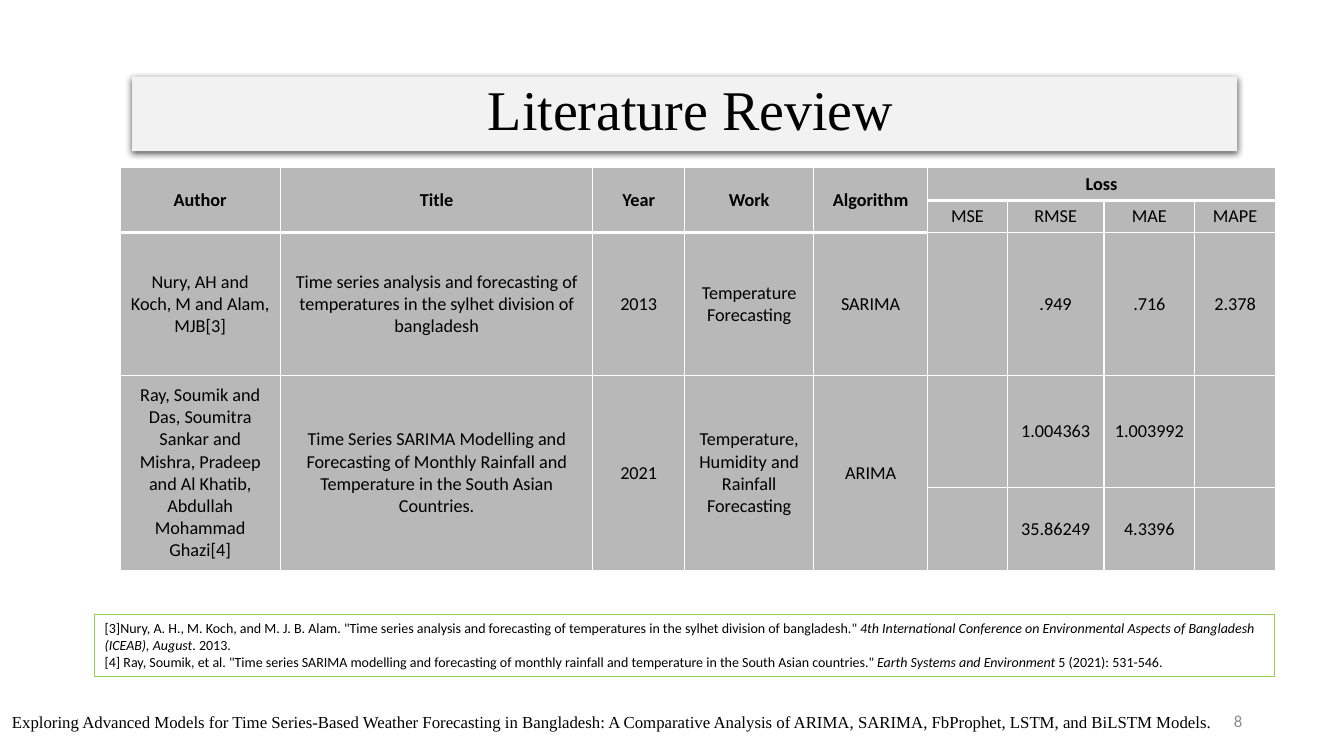
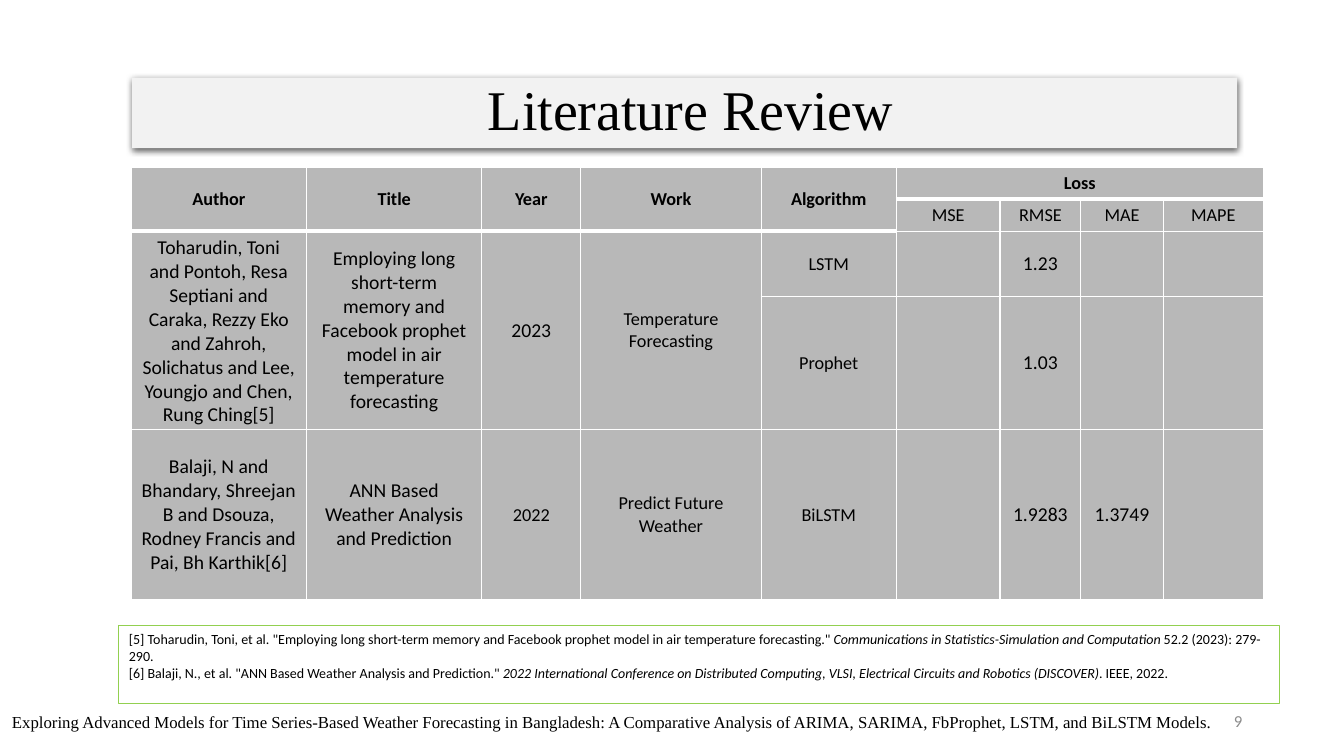
from lxml import etree
from pptx import Presentation
from pptx.dml.color import RGBColor
from pptx.enum.shapes import MSO_SHAPE
from pptx.enum.text import MSO_ANCHOR, PP_ALIGN
from pptx.oxml import parse_xml
from pptx.oxml.ns import nsdecls, qn
from pptx.util import Inches, Pt

RECTANGLE = MSO_SHAPE.RECTANGLE
TOP, MIDDLE = MSO_ANCHOR.TOP, MSO_ANCHOR.MIDDLE
LEFT, CENTER, RIGHT = PP_ALIGN.LEFT, PP_ALIGN.CENTER, PP_ALIGN.RIGHT

BLACK = RGBColor(0x00, 0x00, 0x00)
WHITE = RGBColor(0xFF, 0xFF, 0xFF)
BAND_GREY = RGBColor(0xF2, 0xF2, 0xF2)
CELL_GREY = RGBColor(0xB8, 0xB8, 0xB8)
NUMBER_GREY = RGBColor(0x8C, 0x8C, 0x8C)
FRAME_GREEN = RGBColor(0x92, 0xD0, 0x50)

SERIF, SANS = "Times New Roman", "Calibri"
TITLE = "Literature Review"
FOOTER = ("Exploring Advanced Models for Time Series-Based Weather Forecasting in "
          "Bangladesh: A Comparative Analysis of ARIMA, SARIMA, FbProphet, LSTM, "
          "and BiLSTM Models.")

# Table cells: ABOVE and BEFORE continue the cell over or left of them
ABOVE, BEFORE = "^", "<"
LOSS_COLUMN = 5
CELL_SIZE, LARGE = 13, 14
HEADER = [
    ["Author", "Title", "Year", "Work", "Algorithm", "Loss"] + [BEFORE] * 3,
    [ABOVE] * LOSS_COLUMN + ["MSE", "RMSE", "MAE", "MAPE"],
]

REVIEWS = [
    {
        "number": "8",
        "band": (1.31, 0.76, 10.96, 0.74),
        "table_at": (1.19, 1.66),
        "columns": [1.59, 3.1, 0.91, 1.28, 1.13, 0.79, 0.96, 0.9, 0.8],
        "rows": [0.33, 0.3, 1.42, 1.11, 0.82],
        "studies": [
            ["Nury, AH and Koch, M and Alam, MJB[3]",
             "Time series analysis and forecasting of temperatures in the sylhet "
             "division of bangladesh",
             "2013", "Temperature Forecasting", "SARIMA", "", ".949", ".716", "2.378"],
            ["Ray, Soumik and Das, Soumitra Sankar and Mishra, Pradeep and Al Khatib, "
             "Abdullah Mohammad Ghazi[4]",
             "Time Series SARIMA Modelling and Forecasting of Monthly Rainfall and "
             "Temperature in the South Asian Countries.",
             "2021", "Temperature, Humidity and Rainfall Forecasting", "ARIMA",
             "", "1.004363", "1.003992", ""],
            [ABOVE] * LOSS_COLUMN + ["", "35.86249", "4.3396", ""],
        ],
        "large": [],
        "references_at": (0.94, 6.1, 11.7, 0.61),
        "references": [
            ('[3]Nury, A. H., M. Koch, and M. J. B. Alam. "Time series analysis and '
             'forecasting of temperatures in the sylhet division of bangladesh." ',
             "4th International Conference on Environmental Aspects of Bangladesh "
             "(ICEAB), August",
             ". 2013."),
            ('[4] Ray, Soumik, et al. "Time series SARIMA modelling and forecasting of '
             'monthly rainfall and temperature in the South Asian countries." ',
             "Earth Systems and Environment",
             " 5 (2021): 531-546."),
        ],
    },
    {
        "number": "9",
        "band": (1.31, 0.77, 10.96, 0.7),
        "table_at": (1.3, 1.66),
        "columns": [1.74, 1.74, 0.98, 1.79, 1.34, 1.03, 0.8, 0.82, 0.99],
        "rows": [0.31, 0.31, 0.65, 1.3, 1.69],
        "studies": [
            ["Toharudin, Toni and Pontoh, Resa Septiani and Caraka, Rezzy Eko and "
             "Zahroh, Solichatus and Lee, Youngjo and Chen, Rung Ching[5]",
             "Employing long short-term memory and Facebook prophet model in air "
             "temperature forecasting",
             "2023", "Temperature Forecasting", "LSTM", "", "1.23", "", ""],
            [ABOVE] * 4 + ["Prophet", "", "1.03", "", ""],
            ["Balaji, N and Bhandary, Shreejan B and Dsouza, Rodney Francis and Pai, "
             "Bh Karthik[6]",
             "ANN Based Weather Analysis and Prediction",
             "2022", "Predict Future Weather", "BiLSTM", "", "1.9283", "1.3749", ""],
        ],
        "large": [(2, 0), (2, 1), (2, 2), (2, 6), (3, 6), (4, 0), (4, 1), (4, 6), (4, 7)],
        "references_at": (1.18, 6.21, 11.51, 0.77),
        "references": [
            ('[5] Toharudin, Toni, et al. "Employing long short-term memory and Facebook '
             'prophet model in air temperature forecasting." ',
             "Communications in Statistics-Simulation and Computation",
             " 52.2 (2023): 279-290."),
            ('[6] Balaji, N., et al. "ANN Based Weather Analysis and Prediction." ',
             "2022 International Conference on Distributed Computing, VLSI, Electrical "
             "Circuits and Robotics (DISCOVER)",
             ". IEEE, 2022."),
        ],
    },
]


def inches(values):
    return [Inches(value) for value in values]


def add_span(para, text, size, font=SANS, color=BLACK, bold=False, italic=False):
    """Append one formatted piece of text to a paragraph."""
    span = para.add_run()
    span.text = text
    span.font.size = Pt(size)
    span.font.name = font
    span.font.color.rgb = color
    span.font.bold = bold
    span.font.italic = italic


def add_text(page, at, text, size, align=CENTER, anchor=TOP, **style):
    box = page.shapes.add_textbox(*inches(at))
    frame = box.text_frame
    frame.word_wrap = True
    frame.vertical_anchor = anchor
    para = frame.paragraphs[0]
    para.alignment = align
    add_span(para, text, size, **style)


def add_rectangle(page, at):
    box = page.shapes.add_shape(RECTANGLE, *inches(at))
    box.shadow.inherit = False
    return box


def add_title(page, band_at):
    """Grey band with a soft shadow below it, and the title over it."""
    band = add_rectangle(page, band_at)
    band.fill.solid()
    band.fill.fore_color.rgb = BAND_GREY
    band.line.fill.background()
    effects = band._element.spPr.find(qn("a:effectLst"))
    effects.append(parse_xml(
        f'<a:outerShdw {nsdecls("a")} blurRad="{Pt(4.5)}" dist="{Pt(1.5)}" '
        'dir="5400000" algn="ctr" rotWithShape="0"><a:srgbClr val="000000">'
        '<a:alpha val="63000"/></a:srgbClr></a:outerShdw>'))
    add_text(page, (4.42, 0.69, 4.86, 0.77), TITLE, 40, font=SERIF)


def has_thick_bottom(row, column):
    return row == 0 or (row == 1 and column < LOSS_COLUMN)


def set_borders(cell, row, column):
    """White rules, thicker under the header cells."""
    widths = {"L": 1, "R": 1,
              "T": 3 if has_thick_bottom(row - 1, column) and row > 0 else 1,
              "B": 3 if has_thick_bottom(row, column) else 1}
    properties = cell._tc.get_or_add_tcPr()
    for side, width in widths.items():
        line = etree.SubElement(properties, qn(f"a:ln{side}"), w=str(Pt(width)))
        fill = etree.SubElement(line, qn("a:solidFill"))
        etree.SubElement(fill, qn("a:srgbClr"), val=str(WHITE))


def merge_cells(table, grid):
    """Join each cell with the continuation marks below and after it."""
    for row, texts in enumerate(grid):
        for column, text in enumerate(texts):
            if text in (ABOVE, BEFORE):
                continue
            last_row, last_column = row, column
            while last_row + 1 < len(grid) and grid[last_row + 1][column] == ABOVE:
                last_row += 1
            while last_column + 1 < len(texts) and texts[last_column + 1] == BEFORE:
                last_column += 1
            if (last_row, last_column) != (row, column):
                table.cell(row, column).merge(table.cell(last_row, last_column))


def add_review_table(page, at, columns, rows, studies, large):
    grid = HEADER + studies
    size = (sum(columns), sum(rows))
    table = page.shapes.add_table(len(rows), len(columns), *inches(at + size)).table
    table.first_row = False
    table.horz_banding = False
    for column, width in zip(table.columns, columns):
        column.width = Inches(width)
    for row, height in zip(table.rows, rows):
        row.height = Inches(height)
    for row, texts in enumerate(grid):
        for column, text in enumerate(texts):
            cell = table.cell(row, column)
            set_borders(cell, row, column)
            cell.fill.solid()
            cell.fill.fore_color.rgb = CELL_GREY
            cell.vertical_anchor = MIDDLE
            para = cell.text_frame.paragraphs[0]
            para.alignment = CENTER
            if text in ("", ABOVE, BEFORE):
                para._p.get_or_add_endParaRPr().set("sz", str(CELL_SIZE * 100))
            else:
                text_size = LARGE if (row, column) in large else CELL_SIZE
                add_span(para, text, text_size, bold=row == 0)
    merge_cells(table, grid)


def add_references(page, at, references):
    """Framed list of sources, with the publication in italics."""
    box = add_rectangle(page, at)
    box.fill.background()
    box.line.color.rgb = FRAME_GREEN
    box.line.width = Pt(0.75)
    frame = box.text_frame
    frame.word_wrap = True
    frame.vertical_anchor = TOP
    for index, (work, publication, issue) in enumerate(references):
        para = frame.add_paragraph() if index else frame.paragraphs[0]
        para.alignment = LEFT
        add_span(para, work, 10)
        add_span(para, publication, 10, italic=True)
        add_span(para, issue, 10)


def add_footer(page, number):
    add_text(page, (9.42, 6.95, 3, 0.4), number, 12, align=RIGHT, anchor=MIDDLE,
             color=NUMBER_GREY)
    add_text(page, (0, 7.01, 12.15, 0.3), FOOTER, 12, font=SERIF)


def add_review_page(deck, review):
    page = deck.slides.add_slide(deck.slide_layouts[6])
    add_title(page, review["band"])
    add_review_table(page, review["table_at"], review["columns"], review["rows"],
                     review["studies"], review["large"])
    add_references(page, review["references_at"], review["references"])
    add_footer(page, review["number"])


def main():
    deck = Presentation()
    deck.slide_width, deck.slide_height = Inches(13.33), Inches(7.5)
    for review in REVIEWS:
        add_review_page(deck, review)
    deck.save("out.pptx")


if __name__ == "__main__":
    main()
